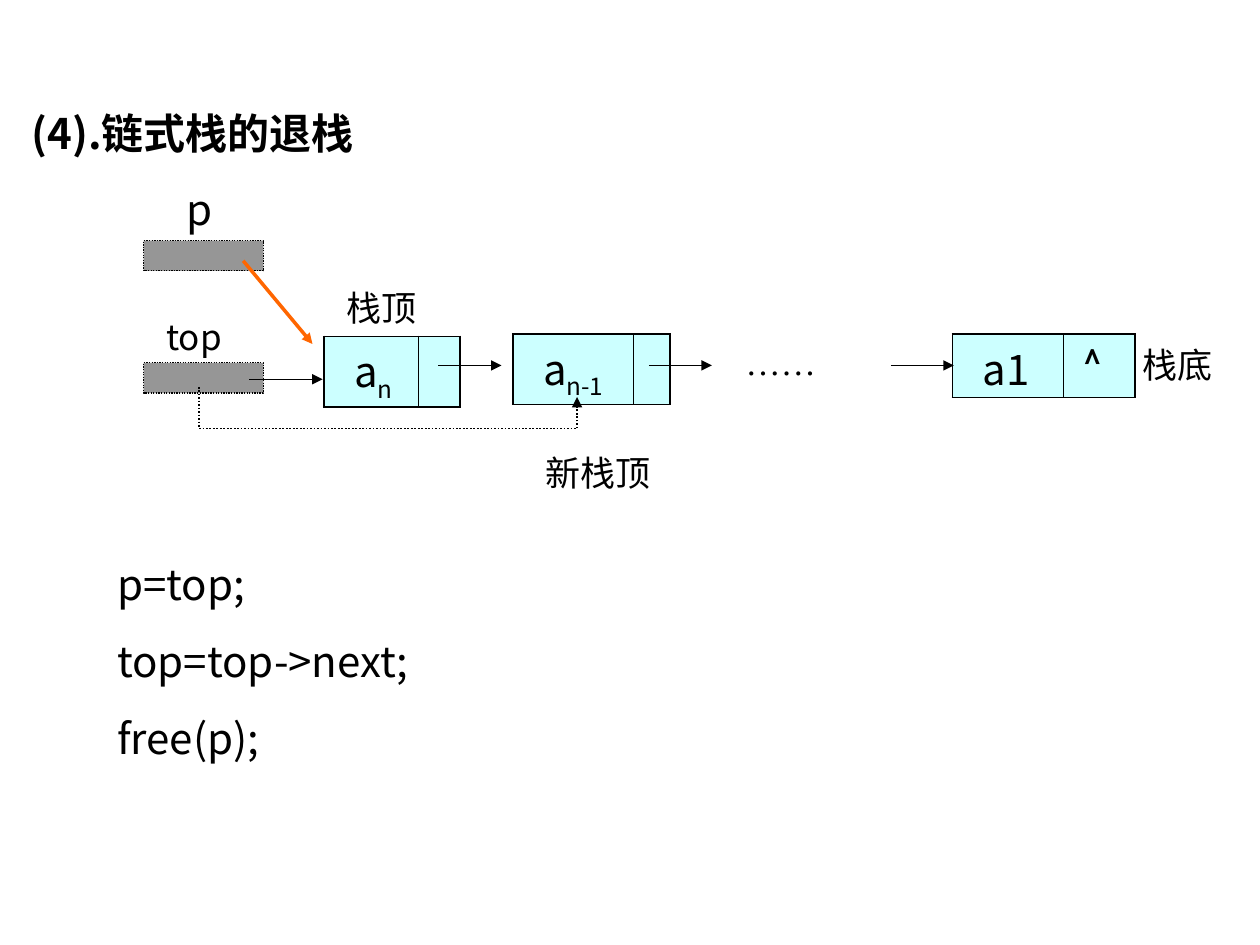
from lxml.etree import SubElement
from pptx import Presentation
from pptx.dml.color import RGBColor
from pptx.enum.dml import MSO_LINE
from pptx.enum.shapes import MSO_CONNECTOR, MSO_SHAPE
from pptx.enum.text import MSO_ANCHOR, MSO_AUTO_SIZE, PP_ALIGN
from pptx.oxml import parse_xml
from pptx.oxml.ns import nsdecls, qn
from pptx.util import Inches, Pt

SANS = "Noto Sans CJK SC"
LATIN = "Roboto"
BLACK, GRAY, CYAN, ORANGE = "000000", "969696", "CCFFFF", "FF6600"


def rgb(value):
    return RGBColor.from_string(value)


def add_run(p, text, size, font=SANS, bold=False, baseline=None):
    r = p.add_run()
    r.text = text
    values = {"size": Pt(size), "bold": bold, "name": font}
    for name, value in values.items():
        setattr(r.font, name, value)
    r.font.color.rgb = rgb(BLACK)
    rPr = r.font._element
    SubElement(rPr, qn("a:ea")).set("typeface", font)
    if baseline is not None:
        rPr.set("baseline", str(baseline))


def format_frame(tf, anchor=MSO_ANCHOR.MIDDLE, left=0.1, wrap=True):
    values = {
        "margin_left": Inches(left), "margin_right": Inches(0.1),
        "margin_top": Inches(0.05), "margin_bottom": Inches(0.05),
        "vertical_anchor": anchor, "word_wrap": wrap,
        "auto_size": MSO_AUTO_SIZE.NONE,
    }
    for name, value in values.items():
        setattr(tf, name, value)


def place(sp, left, top, width, height):
    sp.left, sp.top = Inches(left), Inches(top)
    sp.width, sp.height = Inches(width), Inches(height)


def set_title(sp, text):
    place(sp, 0.25, 0.76, 9, 0.58)
    format_frame(sp.text_frame, left=0)
    p = sp.text_frame.paragraphs[0]
    p.alignment = PP_ALIGN.LEFT
    add_run(p, text, 24, bold=True)


def set_code(sp, lines):
    place(sp, 0.83, 4.38, 8.58, 1.72)
    tf = sp.text_frame
    format_frame(tf, MSO_ANCHOR.TOP)
    for i, line in enumerate(lines):
        p = tf.add_paragraph() if i else tf.paragraphs[0]
        p.space_before = Pt(15 if i else 0)
        p.line_spacing = Pt(29)
        pPr = p._p.get_or_add_pPr()
        pPr.set("marL", "0")
        pPr.set("indent", "0")
        SubElement(pPr, qn("a:buNone"))
        add_run(p, line, 24)


def add_label(s, text, left, top, width, size=20, font=SANS, wrap=False):
    height = 0.5 if size > 20 else 0.44
    sp = s.shapes.add_textbox(*map(Inches, (left, top, width, height)))
    format_frame(sp.text_frame, wrap=wrap)
    add_run(sp.text_frame.paragraphs[0], text, size, font)


def add_pointer_box(s, left, top):
    sp = s.shapes.add_shape(MSO_SHAPE.RECTANGLE,
                            *map(Inches, (left, top, 0.95, 0.24)))
    sp.shadow.inherit = False
    sp.fill.solid()
    sp.fill.fore_color.rgb = rgb(GRAY)
    sp.line.color.rgb = rgb(BLACK)
    sp.line.width = Pt(0.75)
    sp.line.dash_style = MSO_LINE.ROUND_DOT


def add_line(s, start, end, color=BLACK, width=0.75, arrow=True, dotted=False):
    sp = s.shapes.add_connector(MSO_CONNECTOR.STRAIGHT,
                                *map(Inches, (*start, *end)))
    sp.line.color.rgb = rgb(color)
    sp.line.width = Pt(width)
    if dotted:
        sp.line.dash_style = MSO_LINE.ROUND_DOT
    if arrow:
        SubElement(sp.line._get_or_add_ln(), qn("a:tailEnd")).set("type", "triangle")
    SubElement(sp._element.spPr, qn("a:effectLst"))


def set_borders(cell, **widths):
    tcPr = cell._tc.get_or_add_tcPr()
    for i, side in enumerate("LRTB"):
        tcPr.insert(i, parse_xml(
            f'<a:ln{side} {nsdecls("a")} w="{Pt(widths.get(side, 1.08))}">'
            f'<a:solidFill><a:srgbClr val="{BLACK}"/></a:solidFill></a:ln{side}>'))


def add_node(s, left, top, widths, height, name, index="", link=""):
    """Draw a list node: a data cell and a link cell."""
    frame = s.shapes.add_table(
        1, 2, *map(Inches, (left, top, sum(widths), height)))
    table = frame.table
    table.first_row = table.horz_banding = False
    for column, width in zip(table.columns, widths):
        column.width = Inches(width)
    data, pointer = table.cell(0, 0), table.cell(0, 1)
    for cell, margin_left, margin_top in ((data, 0.24, 0.02), (pointer, 0.16, 0.05)):
        cell.margin_left, cell.margin_top = Inches(margin_left), Inches(margin_top)
        cell.margin_right = cell.margin_bottom = 0
        cell.fill.solid()
        cell.fill.fore_color.rgb = rgb(CYAN)
    set_borders(data, R=0.45)
    set_borders(pointer, L=0.45)
    p = data.text_frame.paragraphs[0]
    add_run(p, name, 24)
    if index:
        add_run(p, index, 24, baseline=-25000)
    if link:
        add_run(pointer.text_frame.paragraphs[0], link, 24, LATIN)


def main():
    prs = Presentation()
    prs.slide_width, prs.slide_height = Inches(10), Inches(7.5)
    s = prs.slides.add_slide(prs.slide_layouts[1])
    set_title(s.shapes.title, "(4).链式栈的退栈")
    set_code(s.placeholders[1], ["p=top;", "top=top->next;", "free(p);"])

    for top in (2.88, 1.91):
        add_pointer_box(s, 1.14, top)
    add_node(s, 2.57, 2.67, (0.75, 0.33), 0.56, "a", "n")
    add_node(s, 4.07, 2.65, (0.96, 0.29), 0.56, "a", "n-1")
    add_node(s, 7.56, 2.65, (0.88, 0.57), 0.5, "a1", link="^")

    add_label(s, "p", 1.38, 1.41, 0.4, size=24)
    add_label(s, "top", 1.22, 2.45, 0.75, wrap=True)
    add_label(s, "栈顶", 2.65, 2.22, 0.75)
    add_label(s, "栈底", 8.97, 2.67, 0.75)
    add_label(s, "新栈顶", 4.23, 3.53, 1.03)
    add_label(s, "……", 5.82, 2.65, 1.08, font="Times New Roman", wrap=True)

    add_line(s, (1.93, 2.07), (2.48, 2.73), ORANGE, 2)
    add_line(s, (1.98, 3.01), (2.56, 3.01))
    for left in (3.48, 5.15, 7.07):
        add_line(s, (left, 2.9), (left + 0.5, 2.9))
    route = [(1.58, 3.07), (1.58, 3.4), (4.58, 3.4), (4.58, 3.15)]
    for start, end in zip(route, route[1:]):
        add_line(s, start, end, width=1, arrow=end == route[-1], dotted=True)

    prs.save("out.pptx")


if __name__ == "__main__":
    main()
